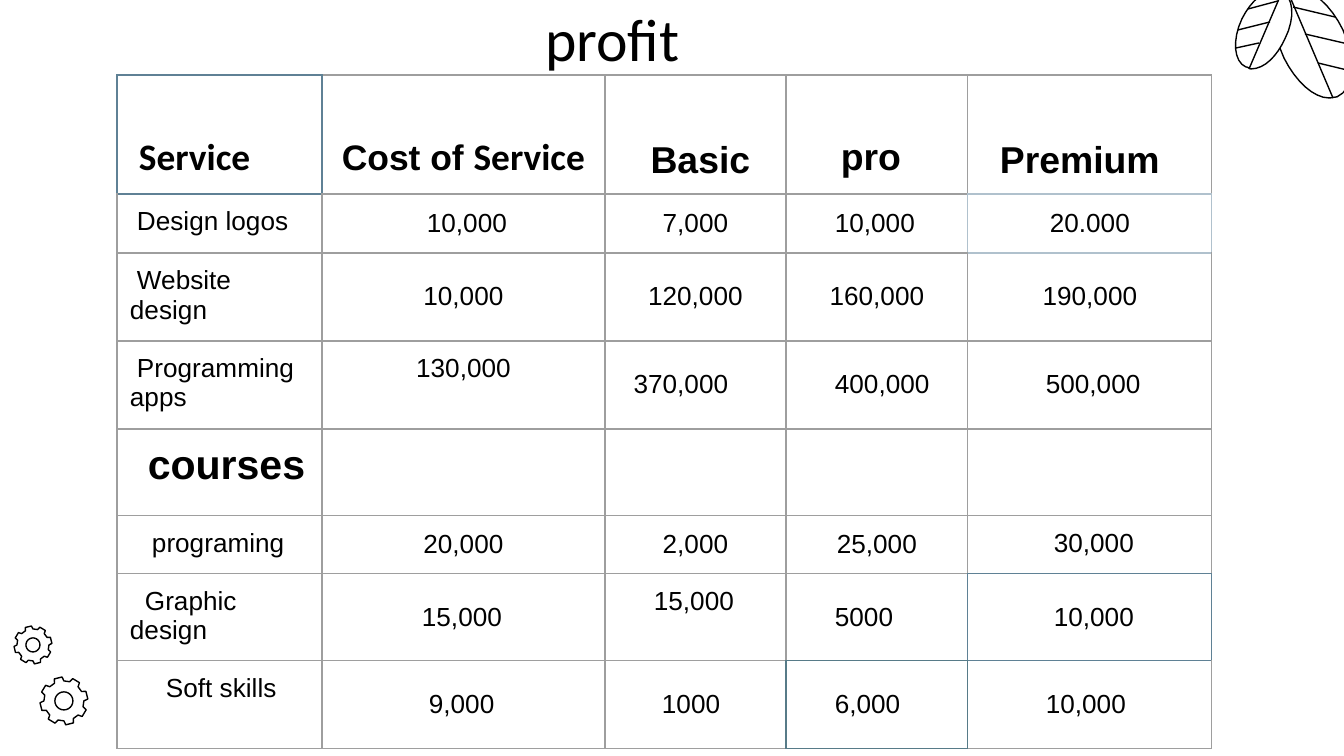
import math

import lxml.etree
import pptx
import pptx.dml.color
import pptx.enum.shapes
import pptx.enum.text
import pptx.oxml.ns
import pptx.util

RGBColor = pptx.dml.color.RGBColor
BLACK = RGBColor(0x00, 0x00, 0x00)
WHITE = RGBColor(0xFF, 0xFF, 0xFF)
GRAY = RGBColor(0x9E, 0x9E, 0x9E)
BLUE = RGBColor(0x5F, 0x81, 0x95)
PALE = RGBColor(0xB0, 0xC1, 0xCD)
TEAL = RGBColor(0x57, 0x7B, 0x88)

SCALE = 914400 / 134.4
INSET = 13
LEFT, CENTER = pptx.enum.text.PP_ALIGN.LEFT, pptx.enum.text.PP_ALIGN.CENTER
TOP = pptx.enum.text.MSO_ANCHOR.TOP
MIDDLE = pptx.enum.text.MSO_ANCHOR.MIDDLE
BOTTOM = pptx.enum.text.MSO_ANCHOR.BOTTOM

COLUMNS = [205, 283, 181, 182, 244]
ROWS = [119, 59, 88, 88, 87, 58, 87, 88]
ACCENTS = {(0, 0): BLUE, (1, 4): PALE, (6, 4): BLUE, (7, 3): TEAL}
SIDES = {"lnL": (0, -1), "lnR": (0, 1), "lnT": (-1, 0), "lnB": (1, 0)}

HEADERS = [
    ([("Service", 20, "Calibri")], LEFT, 9),
    ([("Cost of ", 19, "Arial"), ("Service", 20, "Calibri")], CENTER, 0),
    ([("Basic", 20, "Arial")], CENTER, 10),
    ([("pro", 20, "Arial")], LEFT, 42),
    ([("Premium", 20, "Arial")], CENTER, -20),
]
SERVICES = {
    1: ("Design logos", 7), 2: ("Website design", 7), 3: ("Programming apps", 7),
    5: ("programing", 22), 6: ("Graphic design", 15), 7: ("Soft skills", 36),
}
PRICES = {
    1: [("10,000", CENTER, 7), ("7,000", CENTER, 0), ("10,000", LEFT, 36), ("20.000", CENTER, 0)],
    2: [("10,000", CENTER, 0), ("120,000", CENTER, 0), ("160,000", CENTER, 0), ("190,000", CENTER, 0)],
    3: [("130,000", CENTER, 0), ("370,000", CENTER, -29), ("400,000", LEFT, 36), ("500,000", LEFT, 65)],
    5: [("20,000", CENTER, 0), ("2,000", CENTER, 0), ("25,000", CENTER, 0), ("30,000", LEFT, 73)],
    6: [("15,000", LEFT, 87), ("15,000", LEFT, 36), ("5000", LEFT, 36), ("10,000", LEFT, 73)],
    7: [("9,000", LEFT, 94), ("1000", LEFT, 44), ("6,000", LEFT, 36), ("10,000", LEFT, 65)],
}
TOP_PRICES = {(3, 1), (5, 4), (6, 2)}

LEAVES = [
    ((1329, 98),
     [(1332, 98, 1335, 97, 1337, 97), (1355, 89, 1356, 59, 1343, 30),
      (1331, 5, 1312, -11, 1297, -11), (1294, -11, 1292, -9, 1289, -8),
      (1272, 0, 1270, 28, 1284, 58), (1296, 82, 1314, 98, 1329, 98)],
     [(1293, 7, 1335, 17), (1305, 34, 1348, 44), (1318, 63, 1351, 71), (1333, 98, 1288, -8)]),
    ((1251, 69),
     [(1250, 69, 1248, 67, 1246, 67), (1234, 62, 1232, 40, 1242, 19),
      (1251, 1, 1265, -11, 1276, -11), (1278, -11, 1280, -9, 1282, -9),
      (1293, -3, 1296, 17, 1285, 39), (1277, 56, 1265, 69, 1251, 69)],
     [(1278, 1, 1248, 9), (1270, 22, 1238, 30), (1259, 43, 1236, 48), (1249, 69, 1282, -8)]),
]


def px(n):
    return pptx.util.Emu(round(n * SCALE))


def curve(start, segments, steps=8):
    points = [start]
    for x1, y1, x2, y2, x3, y3 in segments:
        x0, y0 = points[-1]
        for i in range(1, steps + 1):
            t = i / steps
            u = 1 - t
            a, b, c, d = u ** 3, 3 * u * u * t, 3 * u * t * t, t ** 3
            points.append((a * x0 + b * x1 + c * x2 + d * x3,
                           a * y0 + b * y1 + c * y2 + d * y3))
    return points


def polar(cx, cy, radius, degrees):
    a = math.radians(degrees)
    return cx + radius * math.cos(a), cy + radius * math.sin(a)


class Deck:
    def __init__(self, width, height):
        self.prs = pptx.Presentation()
        self.prs.slide_width, self.prs.slide_height = px(width), px(height)
        self.s = self.prs.slides.add_slide(self.prs.slide_layouts[5])
        self.ink, self.weight = BLACK, pptx.util.Pt(0.75)

    def add_text(self, p, text, size, font="Arial", bold=False):
        r = p.add_run()
        r.text = text
        r.font.size, r.font.name, r.font.bold = pptx.util.Pt(size), font, bold
        r.font.color.rgb = self.ink

    def title(self, text, x, y, w, h):
        sp = self.s.shapes.title
        sp.left, sp.top, sp.width, sp.height = px(x), px(y), px(w), px(h)
        tf = sp.text_frame
        tf.auto_size = pptx.enum.text.MSO_AUTO_SIZE.NONE
        tf.vertical_anchor, tf.word_wrap = TOP, True
        tf.margin_left = tf.margin_right = tf.margin_top = tf.margin_bottom = px(INSET)
        tf.paragraphs[0].alignment = LEFT
        self.add_text(tf.paragraphs[0], text, 32, "Calibri")

    def outline(self, contours, fill=None):
        first, *others = [[(px(x), px(y)) for x, y in c] for c in contours]
        builder = self.s.shapes.build_freeform(*first[0])
        builder.add_line_segments(first[1:])
        for c in others:
            builder.move_to(*c[0])
            builder.add_line_segments(c[1:])
        sp = builder.convert_to_shape()
        sp.shadow.inherit = False
        if fill is None:
            sp.fill.background()
        else:
            sp.fill.solid()
            sp.fill.fore_color.rgb = fill
        sp.line.color.rgb, sp.line.width = self.ink, self.weight

    def line(self, x1, y1, x2, y2):
        c = self.s.shapes.add_connector(
            pptx.enum.shapes.MSO_CONNECTOR.STRAIGHT, px(x1), px(y1), px(x2), px(y2))
        c.line.color.rgb, c.line.width = self.ink, self.weight
        lxml.etree.SubElement(c._element.spPr, pptx.oxml.ns.qn("a:effectLst"))

    def leaf(self, start, segments, veins):
        self.outline([curve(start, segments)], WHITE)
        for vein in veins:
            self.line(*vein)

    def gear(self, cx, cy, tip, base, hole):
        teeth = [polar(cx, cy, radius, 45 * i - 59 + offset) for i in range(8)
                 for radius, offset in [(base, -14), (tip, -9.5), (tip, 9.5), (base, 14)]]
        ring = [polar(cx, cy, hole, a) for a in range(0, 361, 15)]
        self.outline([teeth + teeth[:1], ring])

    def table(self, x, y, columns, rows):
        frame = self.s.shapes.add_table(
            len(rows), len(columns), px(x), px(y), px(sum(columns)), px(sum(rows)))
        table = frame.table
        table.first_row = table.horz_banding = False
        for column, w in zip(table.columns, columns):
            column.width = px(w)
        for row, h in zip(table.rows, rows):
            row.height = px(h)
        for i in range(len(rows)):
            for j in range(len(columns)):
                cell = table.cell(i, j)
                cell.margin_left = cell.margin_right = px(INSET)
                cell.margin_top = cell.margin_bottom = px(INSET)
                cell.fill.background()
                self.borders(cell, i, j)
        return table

    def borders(self, cell, i, j):
        tcPr = cell._tc.get_or_add_tcPr()
        for n, (side, (di, dj)) in enumerate(SIDES.items()):
            color = ACCENTS.get((i, j)) or ACCENTS.get((i + di, j + dj)) or GRAY
            ln = tcPr.makeelement(pptx.oxml.ns.qn("a:" + side), {"w": str(self.weight)})
            fill = lxml.etree.SubElement(ln, pptx.oxml.ns.qn("a:solidFill"))
            lxml.etree.SubElement(fill, pptx.oxml.ns.qn("a:srgbClr"), val=str(color))
            tcPr.insert(n, ln)

    def cell_text(self, cell, runs, align, shift, anchor, bold=False):
        cell.vertical_anchor = anchor
        p = cell.text_frame.paragraphs[0]
        p.alignment = align
        if align == LEFT:
            pPr = p._p.get_or_add_pPr()
            pPr.set("marL", "0")
            pPr.set("indent", str(px(shift)))
        elif shift > 0:
            cell.margin_left = px(INSET + shift)
        else:
            cell.margin_right = px(INSET - shift)
        for text, size, font in runs:
            self.add_text(p, text, size, font, bold)


def main():
    deck = Deck(1344, 756)
    for leaf in LEAVES:
        deck.leaf(*leaf)
    deck.gear(64, 701, 24, 20, 9)
    deck.gear(33, 645, 19, 16, 7)
    deck.title("profit", 532, -11, 317, 36)
    table = deck.table(117, 75, COLUMNS, ROWS)
    for j, (runs, align, shift) in enumerate(HEADERS):
        deck.cell_text(table.cell(0, j), runs, align, shift, BOTTOM, True)
    table.cell(0, 3).margin_bottom = px(INSET + 3)
    deck.cell_text(table.cell(4, 0), [("courses", 22, "Arial")], LEFT, 18, TOP, True)
    for i, (text, shift) in SERVICES.items():
        deck.cell_text(table.cell(i, 0), [(text, 14, "Arial")], LEFT, shift, TOP)
    for i, prices in PRICES.items():
        for j, (text, align, shift) in enumerate(prices, 1):
            anchor = TOP if (i, j) in TOP_PRICES else MIDDLE
            deck.cell_text(table.cell(i, j), [(text, 14, "Arial")], align, shift, anchor)
    deck.prs.save("out.pptx")


if __name__ == "__main__":
    main()
